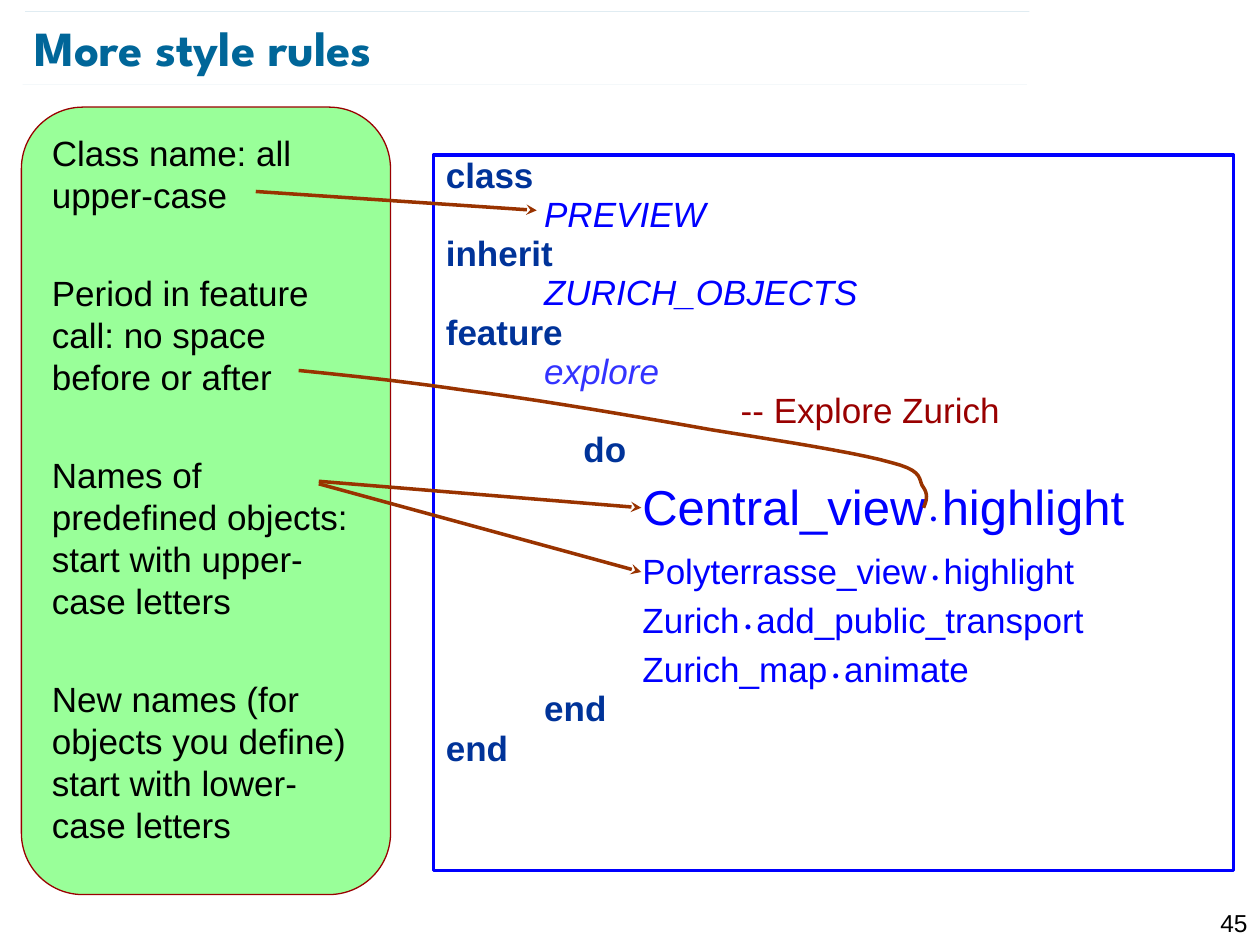
import pptx
import pptx.util
import pptx.dml.color
import pptx.enum.shapes
import pptx.enum.text
import pptx.oxml
import pptx.oxml.ns

Inches = pptx.util.Inches
Pt = pptx.util.Pt
Shape = pptx.enum.shapes.MSO_SHAPE
Align = pptx.enum.text.PP_ALIGN
Anchor = pptx.enum.text.MSO_ANCHOR
BLUE, NAVY, BROWN, TEAL = "0000FF", "003399", "993300", "006699"
TAB = 0.78

RULES = [
    "Class name: all upper-case",
    "Period in feature call: no space before or after",
    "Names of predefined objects: start with upper-case letters",
    "New names (for objects you define) start with lower-case letters",
]

CODE = [
    (0, "class", NAVY, "b"),
    (1, "PREVIEW", BLUE, "i"),
    (0, "inherit", NAVY, "b"),
    (1, "ZURICH_OBJECTS", BLUE, "i"),
    (0, "feature", NAVY, "b"),
    (1, "explore", "3333FF", "i"),
    (3, "-- Explore Zurich", "990000", ""),
    (1.4, "do", NAVY, "b"),
]

CALLS = [
    ("Central_view", "highlight", 28, 4),
    ("Polyterrasse_view", "highlight", 20, 8),
    ("Zurich", "add_public_transport", 20, 4),
    ("Zurich_map", "animate", 20, 4),
]

ENDS = [(1, "end", NAVY, "b"), (0, "end", NAVY, "b")]

ARROWS = [
    ((2.03, 1.52), (4.26, 1.67)),
    ((2.53, 3.84), (5.09, 4.54)),
    ((2.53, 3.82), (5.09, 4.03)),
]

START = (2.37, 2.94)
CURVES = [
    ((2.76, 2.98), (3.16, 3.02), (3.71, 3.1)),
    ((4.26, 3.17), (5.08, 3.31), (5.64, 3.41)),
    ((6.2, 3.5), (6.79, 3.59), (7.07, 3.67)),
    ((7.35, 3.74), (7.28, 3.81), (7.33, 3.87)),
    ((7.37, 3.93), (7.35, 3.98), (7.33, 4.03)),
]


def paint(form, color):
    form.rgb = pptx.dml.color.RGBColor.from_string(color)


def add_run(para, text, size, color, style="", font="Arial"):
    run = para.add_run()
    run.text = text
    run.font.name = font
    run.font.size = Pt(size)
    run.font.bold = "b" in style
    run.font.italic = "i" in style
    paint(run.font.color, color)


def add_para(frame, before=0, level=0, space=1.0):
    first = frame.paragraphs[0]
    para = frame.add_paragraph() if first.runs else first
    para.alignment = Align.LEFT
    para.space_before = Pt(before)
    para.line_spacing = space
    if level:
        props = para._p.get_or_add_pPr()
        props.set("marL", str(Inches(TAB * level)))
        props.set("indent", "0")
    return para


def add_box(slide, kind, spot, fill, edge, width):
    box = slide.shapes.add_shape(kind, *map(Inches, spot))
    box.shadow.inherit = False
    if fill:
        box.fill.solid()
        paint(box.fill.fore_color, fill)
    else:
        box.fill.background()
    paint(box.line.color, edge)
    box.line.width = Pt(width)
    frame = box.text_frame
    frame.word_wrap = True
    frame.vertical_anchor = Anchor.TOP
    return frame


def add_line(slide, start, end, color, width):
    line = slide.shapes.add_connector(
        pptx.enum.shapes.MSO_CONNECTOR.STRAIGHT, *map(Inches, start + end))
    paint(line.line.color, color)
    line.line.width = Pt(width)
    pptx.oxml.ns.qn("a:effectLst")
    add_node(line._element.spPr, "a:effectLst")
    return line


def add_node(root, tag, **attrs):
    node = root.makeelement(pptx.oxml.ns.qn(tag), attrs)
    root.append(node)
    return node


def add_rule(slide, left, top):
    rule = add_line(slide, (left, top), (left + 7.97, top), TEAL, 0.1)
    tone = rule._element.spPr.find(".//" + pptx.oxml.ns.qn("a:srgbClr"))
    add_node(tone, "a:alpha", val="35000")


def add_arrow(slide, start, end):
    arrow = add_line(slide, start, end, BROWN, 2)
    add_node(arrow.line._get_or_add_ln(), "a:tailEnd", type="stealth", w="med", len="med")


def bend(a, b, c, d, steps=10):
    for n in range(1, steps + 1):
        t = n / steps
        u = 1 - t
        yield tuple(
            Inches(u**3 * p + 3 * u * u * t * q + 3 * u * t * t * r + t**3 * s)
            for p, q, r, s in zip(a, b, c, d))


def add_curve(slide):
    points, last = [], START
    for curve in CURVES:
        points.extend(bend(last, *curve))
        last = curve[-1]
    pen = slide.shapes.build_freeform(*map(Inches, START))
    pen.add_line_segments(points, close=False)
    path = pen.convert_to_shape()
    path.shadow.inherit = False
    path.fill.background()
    paint(path.line.color, BROWN)
    path.line.width = Pt(2)


def add_title(slide):
    title = slide.shapes.title
    title.left, title.top, title.width, title.height = map(Inches, (0.27, 0.13, 8.69, 0.48))
    frame = title.text_frame
    frame.auto_size = pptx.enum.text.MSO_AUTO_SIZE.NONE
    frame.vertical_anchor = Anchor.MIDDLE
    frame.margin_left = frame.margin_right = frame.margin_top = frame.margin_bottom = 0
    add_run(add_para(frame), "More style rules", 28, TEAL, "b", "League Spartan")


def add_page(slide):
    box = slide.shapes.add_textbox(*map(Inches, (9.45, 7.16, 0.55, 0.24)))
    box.text_frame.word_wrap = True
    para = add_para(box.text_frame)
    para.alignment = Align.RIGHT
    add_run(para, "45", 14, "000000")


def add_rules(slide):
    frame = add_box(slide, Shape.ROUNDED_RECTANGLE, (0.17, 0.85, 2.93, 6.25), "99FF99", "990000", 0.75)
    for n, rule in enumerate(RULES):
        add_run(add_para(frame, 32 if n else 0), rule, 20, "000000")


def add_lines(frame, lines):
    for level, text, color, style in lines:
        before = 3.2 if frame.paragraphs[0].runs else 0
        add_run(add_para(frame, before, level, 0.8), text, 20, color, style)


def add_code(slide):
    frame = add_box(slide, Shape.RECTANGLE, (3.44, 1.23, 6.35, 5.68), None, BLUE, 2)
    add_lines(frame, CODE)
    for target, feature, size, before in CALLS:
        para = add_para(frame, before, 2)
        for text, points in ((target, size), (" • ", 10.5), (feature, size)):
            add_run(para, text, points, BLUE)
    add_lines(frame, ENDS)


def main():
    deck = pptx.Presentation()
    deck.slide_width, deck.slide_height = Inches(10), Inches(7.5)
    slide = deck.slides.add_slide(deck.slide_layouts[5])
    add_page(slide)
    add_rule(slide, 0.18, 0.67)
    add_rule(slide, 0.2, 0.09)
    add_rules(slide)
    add_code(slide)
    add_title(slide)
    for start, end in ARROWS:
        add_arrow(slide, start, end)
    add_curve(slide)
    deck.save("out.pptx")


if __name__ == "__main__":
    main()
